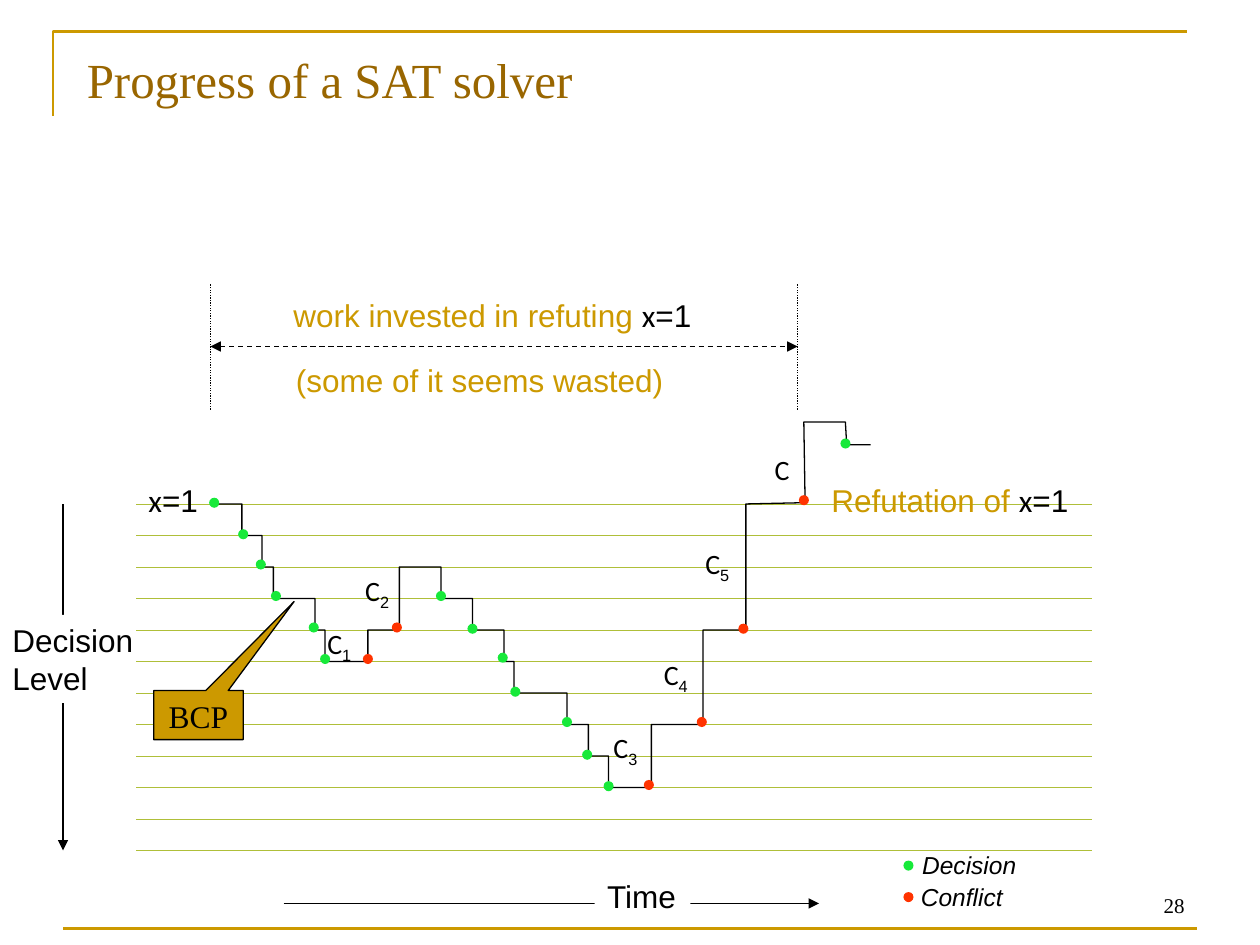
from dataclasses import dataclass
from typing import Optional

from pptx import Presentation
from pptx.dml.color import RGBColor
from pptx.enum.dml import MSO_LINE as DASH
from pptx.enum.shapes import MSO_CONNECTOR, MSO_SHAPE as SHAPE
from pptx.enum.text import MSO_ANCHOR as ANCHOR, MSO_AUTO_SIZE as AUTO, PP_ALIGN as ALIGN
from pptx.oxml.ns import qn
from pptx.util import Pt
from lxml.etree import SubElement

PX = 9144
DOT = 8
LEVEL = 25
LEVELS = 12

BLACK = RGBColor(0x00, 0x00, 0x00)
WHITE = RGBColor(0xFF, 0xFF, 0xFF)
GOLD = RGBColor(0xCC, 0x99, 0x00)
BROWN = RGBColor(0x99, 0x66, 0x00)
OLIVE = RGBColor(0xAF, 0xBF, 0x39)
GREEN = RGBColor(0x17, 0xE9, 0x3A)
RED = RGBColor(0xFF, 0x33, 0x00)

SANS, SERIF, MATH = "Arial", "Times New Roman", "Calibri"

STEPS = [(84, 1), (100, 2), (109, 3), (142, 4), (150, 5), (184, 4), (209, 2),
         (242, 3), (267, 4), (292, 5), (300, 6), (342, 7), (359, 8), (375, 9),
         (409, 7), (450, 4), (484, 0)]
RESTART = [(531, -1), (530, -65), (563, -65), (564, -47), (583, -47)]
DECISIONS = [(58, -5), (81, 20), (95, 44), (107, 69), (137, 94), (146, 119),
             (238, 69), (263, 95), (287, 118), (297, 145), (338, 169),
             (354, 195), (371, 220), (559, -52)]
CONFLICTS = [(180, 119), (203, 94), (403, 219), (445, 169), (478, 95), (526, -7)]
CLAUSES = [("1", 142, 92), ("2", 172, 50), ("3", 369, 175), ("4", 409, 117),
           ("5", 442, 29), ("", 497, -46)]


@dataclass
class Run:
    """A piece of text that may differ from its line in font or colour."""
    text: str
    font: Optional[str] = None
    color: Optional[RGBColor] = None
    baseline: int = 0


X_EQUALS_1 = [Run("x", MATH, BLACK), Run("=1", SANS, BLACK)]


def add_text(slide, box, *lines, size=18, font=SANS, color=BLACK, italic=False,
             align=ALIGN.LEFT, anchor=ANCHOR.TOP, wrap=False, kind=None, fill=None):
    """Add lines of runs in a text box, or in a filled shape of the given kind."""
    place = [n * PX for n in box]
    if kind is None:
        holder = slide.shapes.add_textbox(*place)
    else:
        holder = slide.shapes.add_shape(kind, *place)
        holder.shadow.inherit = False
        holder.fill.solid()
        holder.fill.fore_color.rgb = fill
        holder.line.fill.background()
    frame = holder.text_frame
    frame.word_wrap = wrap
    frame.auto_size = AUTO.NONE if wrap else AUTO.SHAPE_TO_FIT_TEXT
    frame.vertical_anchor = anchor
    for index, line in enumerate(lines):
        paragraph = frame.add_paragraph() if index else frame.paragraphs[0]
        paragraph.alignment = align
        for part in line:
            run = paragraph.add_run()
            run.text = part.text
            run.font.size = Pt(size)
            run.font.name = part.font or font
            run.font.color.rgb = part.color or color
            run.font.italic = italic
            if part.baseline:
                run.font._element.set("baseline", str(part.baseline))
    return holder


def add_line(slide, start, end, color=BLACK, width=0.75, dash=None, arrows=()):
    """Add a straight line with optional dash and arrowheads."""
    line = slide.shapes.add_connector(
        MSO_CONNECTOR.STRAIGHT, *[n * PX for n in (*start, *end)])
    line.line.color.rgb = color
    line.line.width = Pt(width)
    if dash:
        line.line.dash_style = dash
    for end_tag in arrows:
        SubElement(line.line._get_or_add_ln(), qn(end_tag), type="triangle")
    SubElement(line._element.spPr, qn("a:effectLst"))


def add_path(slide, points, color, width):
    """Add an open unfilled outline through the points."""
    builder = slide.shapes.build_freeform(*points[0], scale=PX)
    builder.add_line_segments(points[1:], close=False)
    outline = builder.convert_to_shape()
    outline.shadow.inherit = False
    outline.fill.background()
    outline.line.color.rgb = color
    outline.line.width = Pt(width)


def add_dot(slide, left, top, color):
    """Add a small event dot."""
    dot = slide.shapes.add_shape(SHAPE.OVAL, left * PX, top * PX, DOT * PX, DOT * PX)
    dot.shadow.inherit = False
    dot.fill.solid()
    dot.fill.fore_color.rgb = color
    dot.line.fill.background()


def add_header(slide, box):
    """Draw the corner frame and the title."""
    left, top, width, height = box
    add_path(slide, [(left, top + height), (left, top), (left + width, top)], GOLD, 1.5)
    add_text(slide, (left + 17, top + 14, 781, 52), [Run("Progress of a SAT solver")],
             size=28, font=SERIF, color=BROWN, anchor=ANCHOR.BOTTOM, wrap=True)


def add_footer(slide, box):
    """Draw the bottom rule and the slide number above it."""
    left, top, width, height = box
    bottom = top + height
    add_line(slide, (left, bottom), (left + width, bottom), GOLD, 1.5)
    add_text(slide, (left + width - 233, top, 233, 50), [Run("28")], size=12,
             font=SERIF, align=ALIGN.RIGHT, anchor=ANCHOR.BOTTOM, wrap=True)


def add_level_axis(slide, box):
    """Draw the downward decision level axis."""
    left, top, width, height = box
    middle = left + 50
    add_line(slide, (middle, top), (middle, top + height), arrows=["a:tailEnd"])
    add_text(slide, (left, top + 88, width, 70), [Run("Decision")], [Run("Level")],
             kind=SHAPE.RECTANGLE, fill=WHITE)


def add_time_axis(slide, box):
    """Draw the rightward time axis."""
    left, top, width, height = box
    middle = top + 26
    add_line(slide, (left, middle), (left + width, middle), arrows=["a:tailEnd"])
    add_text(slide, (left + 247, top, 76, height), [Run("Time")],
             kind=SHAPE.RECTANGLE, fill=WHITE)


def add_progress(slide, box):
    """Draw the level grid, the staircase of the search and its labels."""
    left, top, width, _ = box
    for level in range(LEVELS):
        y = top + level * LEVEL
        add_line(slide, (left, y), (left + width, y), OLIVE, 0.25)

    stairs, y = [(59, 0)], 0
    for x, level in STEPS:
        stairs += [(x, y), (x, level * LEVEL)]
        y = level * LEVEL
    add_path(slide, [(left + x, top + y) for x, y in stairs + RESTART], BLACK, 0.75)

    for color, events in ((GREEN, DECISIONS), (RED, CONFLICTS)):
        for x, y in events:
            add_dot(slide, left + x, top + y, color)

    for number, x, y in CLAUSES:
        clause = [Run("C", MATH)]
        if number:
            clause.append(Run(number, baseline=-25000))
        add_text(slide, (left + x, top + y, 44 if number else 36, 37), clause, size=16)

    add_text(slide, (left, top - 23, 63, 40), X_EQUALS_1)
    add_text(slide, (left + 542, top - 23, 211, 40),
             [Run("Refutation of "), *X_EQUALS_1], color=GOLD)
    callout = add_text(slide, (left + 14, top + 148, 71, 39), [Run("BCP")], font=SERIF,
                       align=ALIGN.CENTER, wrap=True,
                       kind=SHAPE.RECTANGULAR_CALLOUT, fill=GOLD)
    callout.adjustments[0], callout.adjustments[1] = 1.07, -2.31
    callout.line.color.rgb = BLACK
    callout.line.width = Pt(0.75)


def add_work_span(slide, box):
    """Draw the dashed span of work between two dotted limits."""
    left, top, width, height = box
    right, middle = left + width, top + height // 2
    add_line(slide, (left, middle), (right, middle), dash=DASH.DASH,
             arrows=["a:headEnd", "a:tailEnd"])
    for x in (left, right):
        add_line(slide, (x, top + height), (x, top), dash=DASH.ROUND_DOT)
    add_text(slide, (left + 56, top + 5, 339, 40),
             [Run("work invested in refuting "), *X_EQUALS_1], color=GOLD)
    add_text(slide, (left + 58, top + 57, 312, 40),
             [Run("(some of it seems wasted)")], color=GOLD)


def add_legend(slide, box):
    """Draw the key to the dot colours, one row per event."""
    left, top, width, height = box
    entries = (("Decision", GREEN, width - 5), ("Conflict", RED, width - 15))
    for row, (event, color, text_width) in enumerate(entries):
        y = top + row * LEVEL
        add_dot(slide, left, y + 13, color)
        add_text(slide, (left + 5 - row, y, text_width, height - LEVEL), [Run(event)],
                 size=14, italic=True)


def main():
    """Build the slide and save it."""
    deck = Presentation()
    deck.slide_width, deck.slide_height = 1000 * PX, 750 * PX
    slide = deck.slides.add_slide(deck.slide_layouts[6])
    add_header(slide, (42, 25, 900, 67))
    add_footer(slide, (50, 683, 900, 54))
    add_level_axis(slide, (0, 400, 123, 275))
    add_time_axis(slide, (225, 691, 425, 40))
    add_progress(slide, (108, 400, 759, 275))
    add_work_span(slide, (167, 225, 466, 100))
    add_legend(slide, (717, 670, 100, 58))
    deck.save("out.pptx")


if __name__ == "__main__":
    main()
